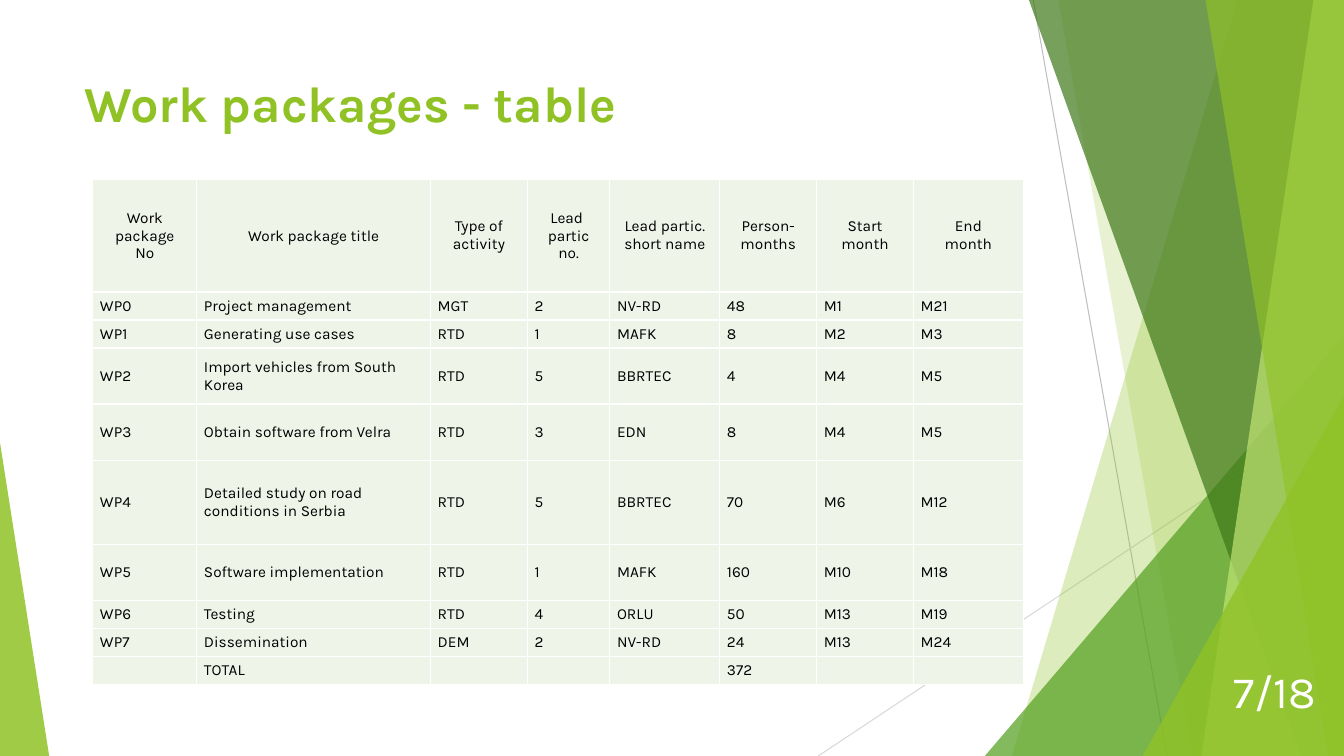
import pptx
import pptx.dml.color
import pptx.enum.shapes
import pptx.enum.text
import pptx.oxml.ns
import pptx.util
from dataclasses import dataclass
from lxml import etree

Cm, Pt = pptx.util.Cm, pptx.util.Pt
Align = pptx.enum.text.PP_ALIGN
Anchor = pptx.enum.text.MSO_ANCHOR
qn = pptx.oxml.ns.qn


@dataclass(frozen=True)
class Theme:
    font: str = "Karla"
    green: str = "90C226"
    mid_green: str = "54A021"
    dark_green: str = "3F7819"
    light_green: str = "C0E474"
    cell: str = "EEF4E8"
    white: str = "FFFFFF"
    black: str = "000000"
    steep_line: str = "BFBFBF"
    flat_line: str = "D9D9D9"
    title_size: int = 36
    page_size: int = 32
    table_size: int = 11


theme = Theme()


def paint(shape, colour, opacity):
    """Fill a decoration with a translucent colour and no outline."""
    shape.shadow.inherit = False
    shape.line.fill.background()
    shape.fill.solid()
    shape.fill.fore_color.rgb = pptx.dml.color.RGBColor.from_string(colour)
    colour_element = shape.fill._xPr.find(qn("a:solidFill"))[0]
    etree.SubElement(colour_element, qn("a:alpha"), val=str(opacity * 1000))


def write(paragraph, text, size, colour, bold=False, **formats):
    """Set the text, its font and any paragraph formats."""
    paragraph.text = text
    for name, value in formats.items():
        setattr(paragraph, name, value)
    for run in paragraph.runs:
        for name, value in {"name": theme.font, "size": Pt(size), "bold": bold}.items():
            setattr(run.font, name, value)
        run.font.color.rgb = pptx.dml.color.RGBColor.from_string(colour)


presentation = pptx.Presentation()
width, height = 33.87, 19.05
presentation.slide_width, presentation.slide_height = Cm(width), Cm(height)
slide = presentation.slides.add_slide(presentation.slide_layouts[6])

# Thin lines behind the ribbons
for x1, y1, x2, y2, colour in [
    (26.04, 0, 29.41, height, theme.steep_line),
    (width, 10.24, 20.62, height, theme.flat_line),
]:
    line = slide.shapes.add_connector(
        pptx.enum.shapes.MSO_CONNECTOR.STRAIGHT, Cm(x1), Cm(y1), Cm(x2), Cm(y2))
    line.line.width = Pt(0.75)
    line.line.color.rgb = pptx.dml.color.RGBColor.from_string(colour)
    etree.SubElement(line._element.spPr, qn("a:effectLst"))

# Ribbons reach the right edge (top x, bottom x); triangles stand on the
# bottom edge (left, width, height, apex position)
decorations = [
    ("ribbon", (31.19, 25.5), theme.green, 30),
    ("ribbon", (26.67, 30.05), theme.green, 20),
    ("triangle", (24.82, 9.05, 10.59, 1), theme.mid_green, 72),
    ("ribbon", (25.93, 32.79), theme.dark_green, 70),
    ("ribbon", (33.1, 30.28), theme.light_green, 70),
    ("ribbon", (30.38, 33.48), theme.green, 65),
    ("triangle", (28.8, 5.07, 9.07, 1), theme.green, 80),
    ("triangle", (0, 1.24, 7.9, 0), theme.green, 85),
]
for kind, geometry, colour, opacity in decorations:
    if kind == "ribbon":
        top_x, bottom_x = geometry
        builder = slide.shapes.build_freeform(Cm(top_x), 0)
        builder.add_line_segments([
            (Cm(width), 0), (Cm(width), Cm(height)), (Cm(bottom_x), Cm(height))])
        shape = builder.convert_to_shape()
    else:
        left, base, rise, apex = geometry
        shape = slide.shapes.add_shape(
            pptx.enum.shapes.MSO_SHAPE.ISOSCELES_TRIANGLE,
            Cm(left), Cm(height - rise), Cm(base), Cm(rise))
        shape.adjustments[0] = apex
    paint(shape, colour, opacity)

# Title and page number
for text, box, size, colour, bold, align, anchor in [
    ("Work packages - table", (1.88, 1.7, 23.88, 3.66), theme.title_size,
     theme.green, True, Align.LEFT, Anchor.TOP),
    ("7/18", (28.96, 16.48, 4.45, 1.85), theme.page_size,
     theme.white, False, Align.RIGHT, Anchor.MIDDLE),
]:
    frame = slide.shapes.add_textbox(*map(Cm, box)).text_frame
    frame.word_wrap = True
    frame.vertical_anchor = anchor
    write(frame.paragraphs[0], text, size, colour, bold, alignment=align)

# Work package table: row heights are whole multiples of one unit
rows = [
    ("Work package\nNo", "Work package title", "Type of activity", "Lead \npartic\nno.",
     "Lead partic. short name", "Person-months", "Start\nmonth", "End\nmonth"),
    ("WP0", "Project management", "MGT", "2", "NV-RD", "48", "M1", "M21"),
    ("WP1", "Generating use cases", "RTD", "1", "MAFK", "8", "M2", "M3"),
    ("WP2", "Import vehicles from South Korea", "RTD", "5", "BBRTEC", "4", "M4", "M5"),
    ("WP3", "Obtain software from Velra", "RTD", "3", "EDN", "8", "M4", "M5"),
    ("WP4", "Detailed study on road conditions in Serbia", "RTD", "5", "BBRTEC", "70",
     "M6", "M12"),
    ("WP5", "Software implementation", "RTD", "1", "MAFK", "160", "M10", "M18"),
    ("WP6", "Testing", "RTD", "4", "ORLU", "50", "M13", "M19"),
    ("WP7", "Dissemination", "DEM", "2", "NV-RD", "24", "M13", "M24"),
    ("", "TOTAL", "", "", "", "372", "", ""),
]
row_units = [4, 1, 1, 2, 2, 3, 2, 1, 1, 1]
column_widths = [2.62, 5.89, 2.44, 2.08, 2.77, 2.44, 2.44, 2.77]
table_height = 12.72
unit = table_height / sum(row_units)

table = slide.shapes.add_table(
    len(rows), len(column_widths), Cm(2.34), Cm(4.53),
    Cm(sum(column_widths)), Cm(table_height)).table
table.first_row = table.horz_banding = False
for column, column_width in zip(table.columns, column_widths):
    column.width = Cm(column_width)

cell_formats = {
    "margin_left": Cm(0.18), "margin_right": Cm(0.18), "margin_top": 0,
    "margin_bottom": 0, "vertical_anchor": Anchor.MIDDLE,
}
for row_index, (texts, units) in enumerate(zip(rows, row_units)):
    table.rows[row_index].height = Cm(unit * units)
    for column_index, text in enumerate(texts):
        cell = table.cell(row_index, column_index)
        for name, value in cell_formats.items():
            setattr(cell, name, value)

        # White borders, then the fill
        properties = cell._tc.get_or_add_tcPr()
        for side in ("lnL", "lnR", "lnT", "lnB"):
            border = etree.SubElement(properties, qn(f"a:{side}"), w=str(Pt(1)))
            solid = etree.SubElement(border, qn("a:solidFill"))
            etree.SubElement(solid, qn("a:srgbClr"), val=theme.white)
        cell.fill.solid()
        cell.fill.fore_color.rgb = pptx.dml.color.RGBColor.from_string(theme.cell)

        paragraph = cell.text_frame.paragraphs[0]
        formats = {"alignment": Align.CENTER if row_index == 0 else Align.LEFT}
        if text == "TOTAL" or (row_index > 0 and column_index > 1 and text):
            formats.update(space_before=Pt(6), space_after=Pt(6))
        write(paragraph, text, theme.table_size, theme.black, **formats)
        if not text:
            etree.SubElement(paragraph._p, qn("a:endParaRPr"),
                             sz=str(theme.table_size * 100))

presentation.save("out.pptx")
